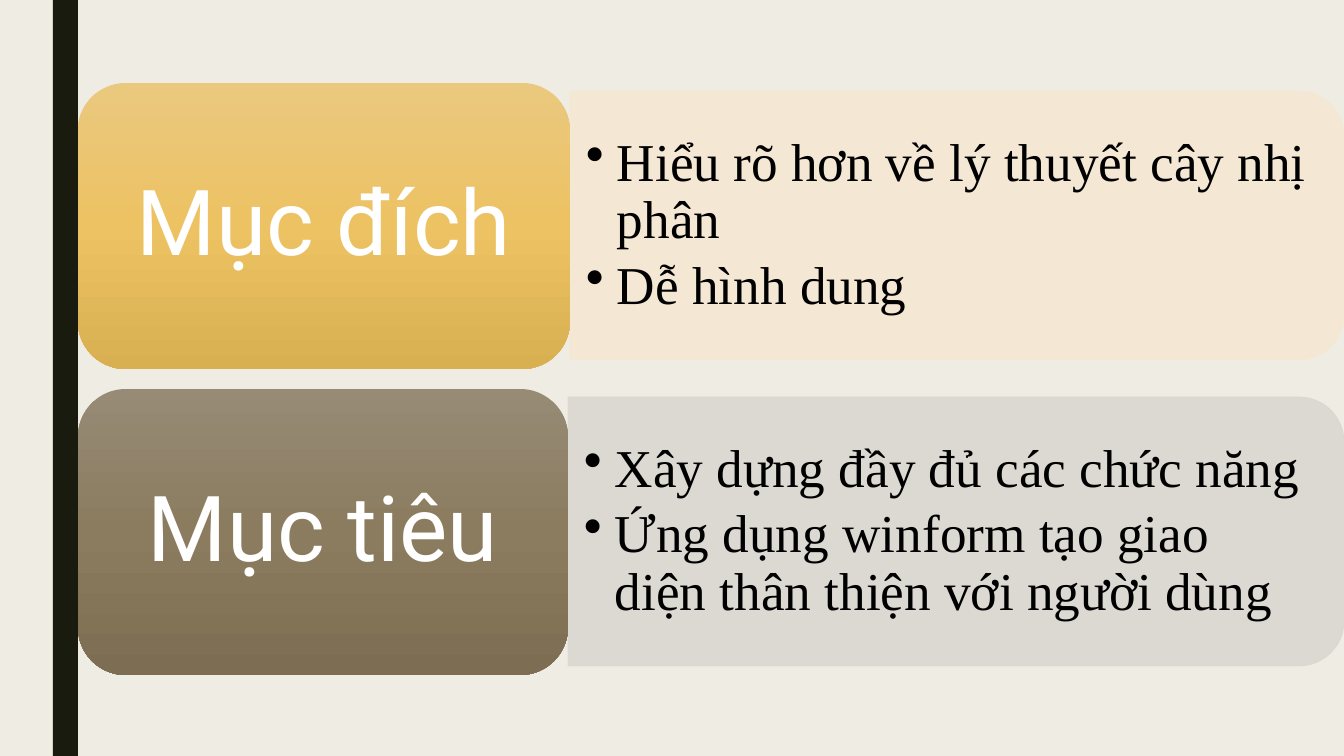
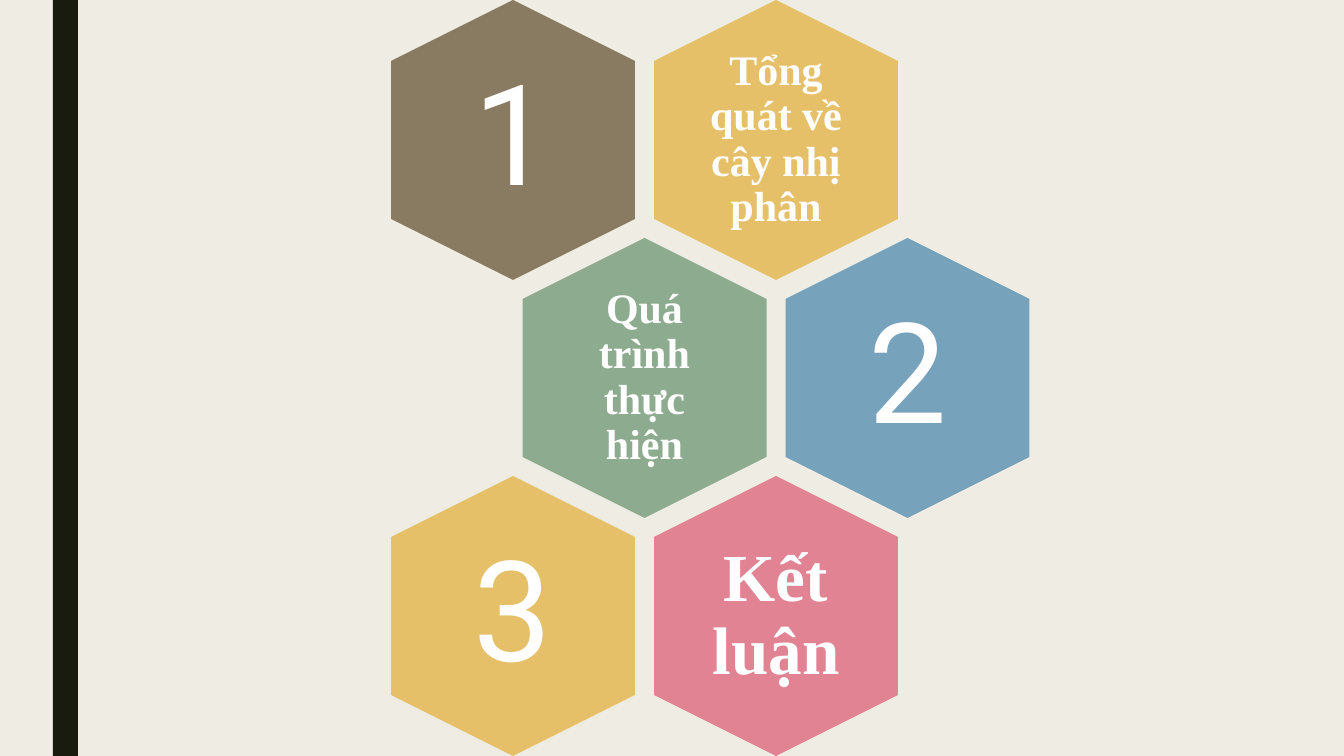
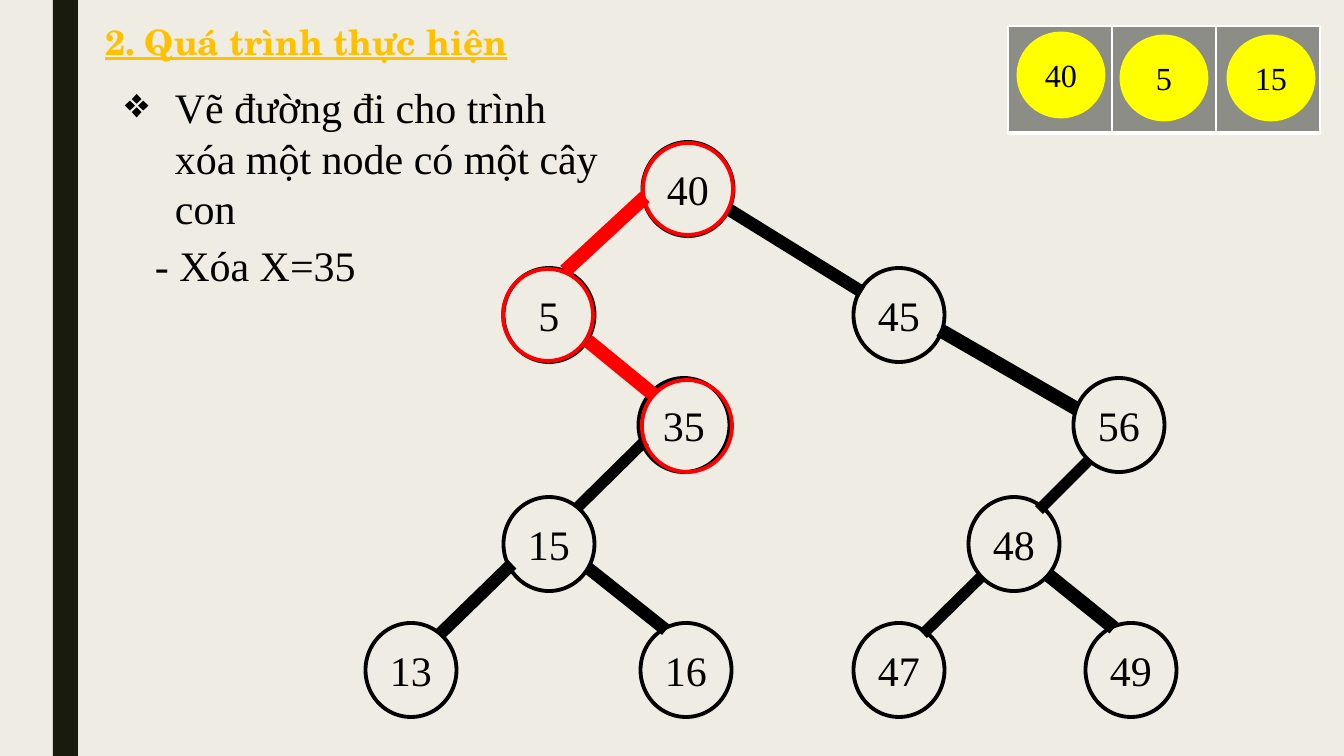
from copy import deepcopy

from lxml import etree
from pptx import Presentation
from pptx import util as u
from pptx.dml import color as rgb
from pptx.enum import shapes as sh, text as tx
from pptx.oxml import ns

SCALE = 914400 / 100.8
WIDE, HIGH = 1344, 756
SERIF, SANS, SCHOLA = "Times New Roman", "Roboto", "TeX Gyre Schola"
HEX = {
    "page": "EFEDE3", "bar": "191B0E", "white": "FFFFFF", "black": "000000",
    "red": "FF0000", "yellow": "FFFF00", "title": "FFC000", "cell": "8C8D86",
    "gold": "E6C069", "brown": "897B61", "green": "8DAB8E", "blue": "77A2BB",
    "pink": "E28394", "cream": "F5E8D4", "stone": "DAD7D2",
    "gold1": "EAC87E", "gold2": "ECC263", "gold3": "D9B051",
    "brown1": "978B76", "brown2": "8B7C5F", "brown3": "7D6E53",
}
FONTS = {
    "title": {"name": SCHOLA, "size": u.Pt(25), "bold": True, "underline": True, "color": "title"},
    "body": {"name": SERIF, "size": u.Pt(30), "color": "black"},
    "item": {"name": SERIF, "size": u.Pt(38), "color": "black"},
    "card": {"name": SANS, "size": u.Pt(65), "color": "white"},
    "digit": {"name": SANS, "size": u.Pt(100), "color": "white"},
    "label": {"name": SERIF, "size": u.Pt(30), "bold": True, "color": "white"},
    "large": {"name": SERIF, "size": u.Pt(48), "bold": True, "color": "white"},
    "visit": {"name": SERIF, "size": u.Pt(23), "color": "black"},
}
LEFT = {"alignment": tx.PP_ALIGN.LEFT}
MID = {"alignment": tx.PP_ALIGN.CENTER}
TIGHT = {"line_spacing": 0.9}
CARDS = [
    (83, 492, "Mục đích", "gold", "cream",
     ["Hiểu rõ hơn về lý thuyết cây nhị phân", "Dễ hình dung"]),
    (389, 490, "Mục tiêu", "brown", "stone",
     ["Xây dựng đầy đủ các chức năng",
      "Ứng dụng winform tạo giao diện thân thiện với người dùng"]),
]
CELLS = [
    (0, 0, "1", "digit", "brown"),
    (0, 2, "Tổng quát về cây nhị phân", "label", "gold"),
    (1, 1, "Quá trình thực hiện", "label", "green"),
    (1, 3, "2", "digit", "blue"),
    (2, 0, "3", "digit", "gold"),
    (2, 2, "Kết luận", "large", "pink"),
]
LEVELS = {
    189: {"40": 688},
    315: {"5": 549, "45": 899},
    425: {"35": 684, "56": 1119},
    544: {"15": 549, "48": 1014},
    670: {"13": 411, "16": 686, "47": 899, "49": 1131},
}
EDGES = [
    (728, 209, 862, 292, 9), (940, 330, 1077, 409, 10),
    (588, 568, 666, 630, 9), (1047, 574, 1114, 628, 10),
    (1089, 460, 1039, 510, 8), (982, 576, 923, 634, 8),
    (512, 564, 440, 634, 9), (645, 441, 578, 507, 8),
]
ROUTE = [(645, 197, 565, 271, 10), (588, 341, 654, 395, 10)]
RINGS = [(688, 189), (548, 315), (687, 426)]
VISITS = [("40", 1061, 75), ("5", 1164, 78), ("15", 1271, 78)]


def px(num):
    """Turn pixels into EMU."""
    return u.Emu(round(num * SCALE))


def tint(name):
    """Return the named colour."""
    return rgb.RGBColor.from_string(HEX[name])


def put(item, vals):
    """Set each attribute named in a dict."""
    for key, val in vals.items():
        setattr(item, key, val)


def write(shape, lines, font, para, frame=None, mark=None, indent=0):
    """Fill a shape with styled paragraphs."""
    body = shape.text_frame
    put(body, {"word_wrap": True, **(frame or {})})
    for num, line in enumerate(lines):
        par = body.add_paragraph() if num else body.paragraphs[0]
        put(par, para)
        run = par.add_run()
        run.text = line
        style = dict(FONTS[font])
        run.font.color.rgb = tint(style.pop("color"))
        put(run.font, style)
        if mark:
            props = par._p.get_or_add_pPr()
            props.set("marL", str(px(indent)))
            props.set("indent", str(-px(indent)))
            etree.SubElement(props, ns.qn("a:buChar")).set("char", mark)


def pads(side, top):
    """Return inner margins for a text frame."""
    return {"margin_left": px(side), "margin_right": px(side),
            "margin_top": px(top), "margin_bottom": px(top)}


def form(slide, kind, box, fill=None, line=None, width=2.75):
    """Add a flat preset shape."""
    shape = slide.shapes.add_shape(kind, *map(px, box))
    shape.shadow.inherit = False
    if fill:
        shape.fill.solid()
        shape.fill.fore_color.rgb = tint(fill)
    else:
        shape.fill.background()
    if line:
        shape.line.color.rgb = tint(line)
        shape.line.width = u.Pt(width)
    else:
        shape.line.fill.background()
    return shape


def turn(slide, kind, box, fill, line=None, width=0.5):
    """Add a shape turned by 90 degrees that covers the box."""
    left, top, wide, high = box
    shift = (wide - high) / 2
    shape = form(slide, kind, (left + shift, top - shift, high, wide), fill, line, width)
    shape.rotation = 90
    return shape


def label(slide, box, lines, font, para, frame=None, mark=None, indent=0):
    """Add a text box."""
    area = slide.shapes.add_textbox(*map(px, box))
    write(area, lines, font, para, frame, mark, indent)


def blend(shape, name):
    """Give a shape a vertical three-step gradient."""
    shape.fill.gradient()
    shape.fill.gradient_angle = 270
    steps = next(shape.element.iter(ns.qn("a:gsLst")))
    steps.append(deepcopy(steps[0]))
    for num, stop in enumerate(shape.fill.gradient_stops):
        stop.position = num / 2
        stop.color.rgb = tint(f"{name}{num + 1}")


def fade(shape):
    """Make fill and line slightly transparent."""
    for node in shape.element.spPr.iter(ns.qn("a:srgbClr")):
        etree.SubElement(node, ns.qn("a:alpha")).set("val", "90000")


def disc(slide, mid, size, line, fill=None, text=None, font="body"):
    """Add an ellipse around its centre."""
    (x, y), (wide, high) = mid, size
    shape = form(slide, sh.MSO_SHAPE.OVAL, (x - wide / 2, y - high / 2, wide, high), fill, line)
    if text:
        write(shape, [text], font, MID, {**pads(0, 0), "vertical_anchor": tx.MSO_ANCHOR.MIDDLE})


def edge(slide, ends, width, name):
    """Add a thick straight line."""
    line = slide.shapes.add_connector(sh.MSO_CONNECTOR.STRAIGHT, *map(px, ends))
    line.line.color.rgb = tint(name)
    line.line.width = u.Pt(width)
    etree.SubElement(line.element.spPr, ns.qn("a:effectLst"))


def grid(slide, box, cols):
    """Add the one-row table behind the visited nodes."""
    table = slide.shapes.add_table(1, cols, *map(px, box)).table
    for cell in table.iter_cells():
        props = cell._tc.get_or_add_tcPr()
        for tag, width in (("lnL", 1), ("lnR", 1), ("lnT", 1), ("lnB", 3)):
            side = etree.SubElement(props, ns.qn(f"a:{tag}"), w=str(u.Pt(width)))
            paint = etree.SubElement(side, ns.qn("a:solidFill"))
            etree.SubElement(paint, ns.qn("a:srgbClr"), val=HEX["white"])
        cell.fill.solid()
        cell.fill.fore_color.rgb = tint("cell")


def theme(deck, slide):
    """Put the page colour and side bar on the master."""
    master = deck.slide_master
    master.background.fill.solid()
    master.background.fill.fore_color.rgb = tint("page")
    bar = form(slide, sh.MSO_SHAPE.RECTANGLE, (53, 0, 25, HIGH), "bar")
    master.shapes.element.append(bar.element)


def goals(slide):
    """Draw the purpose and goal rows."""
    left = 78
    mid = {"vertical_anchor": tx.MSO_ANCHOR.MIDDLE}
    for top, wide, name, shade, pale, items in CARDS:
        edge_x = left + wide
        panel = (edge_x, top + 8, WIDE - edge_x, 269)
        fade(turn(slide, sh.MSO_SHAPE.ROUND_2_SAME_RECTANGLE, panel, pale, pale))
        label(slide, (edge_x, top + 21, 761, 243), items, "item",
              {**LEFT, **TIGHT, "space_after": u.Pt(6)}, {**pads(16, 8), **mid}, "•", 31)
        card = form(slide, sh.MSO_SHAPE.ROUNDED_RECTANGLE, (left, top, wide, 286))
        blend(card, shade)
        write(card, [name], "card", {**MID, **TIGHT}, {**pads(27, 14), **mid})


def topics(slide):
    """Draw the honeycomb of topics."""
    wide, high = 244, 280
    for row, col, text, font, fill in CELLS:
        x, y = 513 + 131.5 * col, 140 + 238 * row
        box = (x - wide / 2, y - high / 2, wide, high)
        turn(slide, sh.MSO_SHAPE.HEXAGON, box, fill).adjustments[0] = 0.25
        label(slide, (x - 84, y - 96, 168, 192), [text], font, {**MID, **TIGHT},
              {**pads(12, 12), "vertical_anchor": tx.MSO_ANCHOR.MIDDLE})


def tree(slide):
    """Draw the binary tree with its search path."""
    title = slide.shapes.title
    put(title, dict(zip(("left", "top", "width", "height"), map(px, (95, 15, 477, 52)))))
    write(title, ["2. Quá trình thực hiện"], "title", LEFT,
          {"vertical_anchor": tx.MSO_ANCHOR.TOP, "auto_size": tx.MSO_AUTO_SIZE.NONE})
    grid(slide, (1008, 26, 312, 107), 3)
    label(slide, (115, 77, 503, 163), ["Vẽ đường đi cho trình xóa một node có một cây con"],
          "body", LEFT, None, "❖", 50)
    label(slide, (145, 235, 235, 61), ["- Xóa X=35"], "body", LEFT)
    for y, nodes in LEVELS.items():
        for text, x in nodes.items():
            disc(slide, (x, y), (91, 94), "black", text=text)
    for *ends, width in EDGES:
        edge(slide, ends, width, "black")
    for mid in RINGS:
        disc(slide, mid, (90, 92), "red")
    for *ends, width in ROUTE:
        edge(slide, ends, width, "red")
    for text, x, y in VISITS:
        disc(slide, (x, y), (85, 83), "yellow", "yellow", text, "visit")


def main():
    """Build and save the deck."""
    deck = Presentation()
    put(deck, {"slide_width": px(WIDE), "slide_height": px(HIGH)})
    only, blank = deck.slide_layouts[5], deck.slide_layouts[6]
    for num, (draw, layout) in enumerate(((goals, blank), (topics, blank), (tree, only))):
        slide = deck.slides.add_slide(layout)
        if num == 0:
            theme(deck, slide)
        draw(slide)
    deck.save("out.pptx")


if __name__ == "__main__":
    main()
